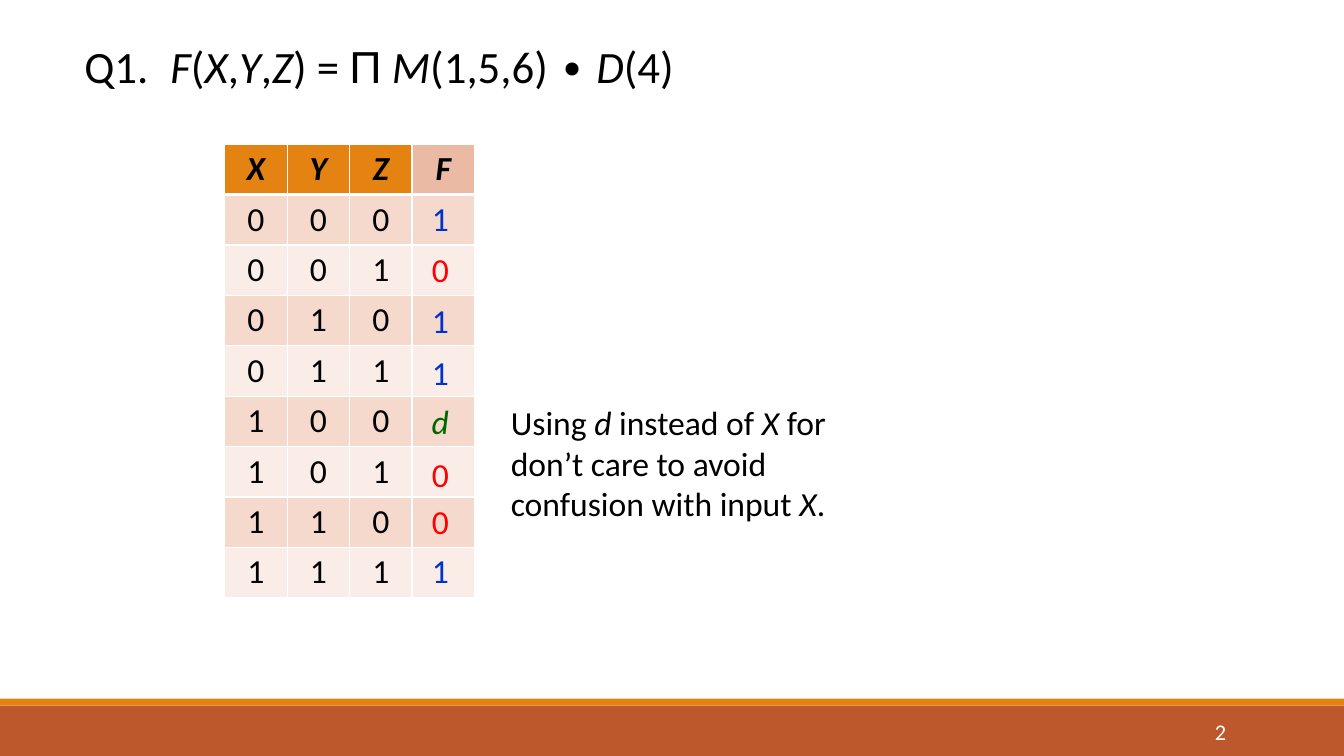
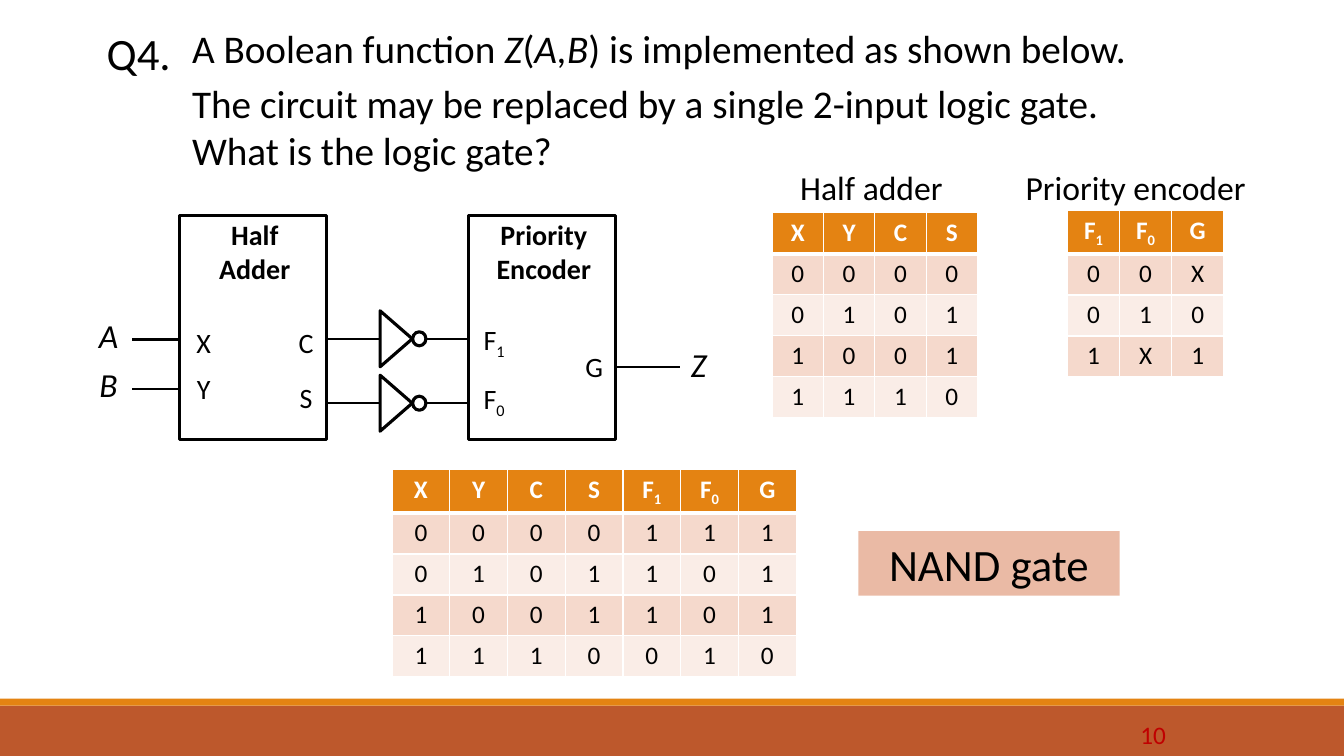
import dataclasses

import lxml.etree
import pptx
import pptx.dml.color
import pptx.enum.shapes
import pptx.enum.text
import pptx.oxml.ns
import pptx.util


@dataclasses.dataclass(frozen=True)
class Theme:
    """Colours, fonts and type sizes of the deck."""
    font: str = "Calibri"
    sign: str = "Arial"
    ink: str = "000000"
    white: str = "FFFFFF"
    rust: str = "BD582C"
    orange: str = "E48312"
    peach: str = "EABAA5"
    odd: str = "F5D9CC"
    even: str = "FAEDE7"
    red: str = "FF0000"
    green: str = "006600"
    blue: str = "0033CC"
    wine: str = "C00000"
    head: int = 32
    lead: int = 28
    text: int = 24
    port: int = 20
    small: int = 18
    note: int = 16


theme = Theme()
color = pptx.dml.color.RGBColor.from_string
qn = pptx.oxml.ns.qn
align = pptx.enum.text.PP_ALIGN
anchor = pptx.enum.text.MSO_ANCHOR
kind = pptx.enum.shapes.MSO_SHAPE


def write(frame, text, size, ink=theme.ink, side=align.LEFT, bold=False, gap=0):
    """Set text in a frame: *x* is italic, _x_ is subscript."""
    frame.word_wrap = True
    frame.auto_size = pptx.enum.text.MSO_AUTO_SIZE.NONE
    frame.text = text
    for para in frame.paragraphs:
        source = para.text
        para.clear()
        para.alignment = side
        para.space_before = pptx.util.Pt(0)
        para.space_after = pptx.util.Pt(gap)
        for i, part in enumerate(source.split("*")):
            for j, bit in enumerate(part.split("_")):
                if not bit:
                    continue
                run = para.add_run()
                run.text = bit
                run.font.name = theme.font
                run.font.size = pptx.util.Pt(size)
                run.font.color.rgb = color(ink)
                run.font.bold = bold
                run.font.italic = i % 2 == 1
                if j % 2:
                    run.font._element.set("baseline", "-25000")


def grid(slide, heads, rows, left, top, wide, tall, size, ink=theme.white):
    """Add a banded table with white rules and a heavy one under the head."""
    data = [heads, *rows]
    table = slide.shapes.add_table(
        len(data), len(heads), pptx.util.Pt(left), pptx.util.Pt(top),
        pptx.util.Pt(wide * len(heads)), pptx.util.Pt(tall * len(data))).table
    for col in table.columns:
        col.width = pptx.util.Pt(wide)
    for r, row in enumerate(data):
        table.rows[r].height = pptx.util.Pt(tall)
        fill = theme.odd if r % 2 else theme.even
        for c, text in enumerate(row):
            cell = table.cell(r, c)
            cell.margin_top = cell.margin_bottom = pptx.util.Pt(3.3)
            write(cell.text_frame, text, size, theme.ink if r else ink,
                  align.CENTER, bold=r == 0)
            cell.fill.solid()
            cell.fill.fore_color.rgb = color(fill if r else theme.orange)
            props = cell._tc.get_or_add_tcPr()
            for k, edge in enumerate(("lnL", "lnR", "lnT", "lnB")):
                thick = (r, edge) in ((0, "lnB"), (1, "lnT"))
                rule = lxml.etree.Element(qn("a:" + edge))
                rule.set("w", str(pptx.util.Pt(3 if thick else 1)))
                solid = lxml.etree.SubElement(rule, qn("a:solidFill"))
                lxml.etree.SubElement(solid, qn("a:srgbClr")).set("val", theme.white)
                props.insert(k, rule)
    return table


# Deck and its two slides
deck = pptx.Presentation()
deck.slide_width = pptx.util.Pt(960)
deck.slide_height = pptx.util.Pt(540)
layout = deck.slide_layouts[1]
first = deck.slides.add_slide(layout)
second = deck.slides.add_slide(layout)

# Master: bands at the foot, body text without bullets
master = deck.slide_master
for top, tall, fill in ((499, 5, theme.orange), (504, 36, theme.rust)):
    band = first.shapes.add_shape(kind.RECTANGLE, 0, pptx.util.Pt(top),
                                  deck.slide_width, pptx.util.Pt(tall))
    band.shadow.inherit = False
    band.fill.solid()
    band.fill.fore_color.rgb = color(fill)
    band.line.fill.background()
    master.shapes.element.insert(2, band.element)
level = next(master.element.iter(qn("p:bodyStyle")))[0]
level.set("marL", "0")
level.set("indent", "0")
level.replace(level.find(qn("a:buChar")), lxml.etree.Element(qn("a:buNone")))

# Titles and questions
heads = (
    (first.shapes.title, "Q1.", (53, 24, 61, 52), theme.head),
    (first.placeholders[1],
     "*F*(*X*,*Y*,*Z*) = **Π** *M*(1,5,6) ∙ *D*(4)",
     (114.5, 24, 457, 46), theme.head),
    (second.shapes.title, "Q4.", (69, 14.5, 71, 47), theme.head),
    (second.placeholders[1],
     "A Boolean function *Z*(*A,B*) is implemented as shown below.\n"
     "The circuit may be replaced by a single 2-input logic gate. "
     "What is the logic gate?",
     (130, 13.7, 723, 115), theme.lead),
)
for holder, text, place, size in heads:
    holder.left, holder.top, holder.width, holder.height = map(pptx.util.Pt, place)
    write(holder.text_frame, text, size, gap=6)
    holder.text_frame.vertical_anchor = anchor.TOP
for run in first.placeholders[1].text_frame.paragraphs[0].runs:
    if "Π" in run.text:
        run.font.name = theme.sign

# Page numbers
for slide, text, place, size, ink in (
        (first, "2", (780, 508.3, 103, 29), theme.note, theme.white),
        (second, "10", (786, 508.3, 54, 32), theme.small, theme.wine)):
    box = slide.shapes.add_textbox(*map(pptx.util.Pt, place))
    write(box.text_frame, text, size, ink, align.RIGHT)
    box.text_frame.vertical_anchor = anchor.MIDDLE

# Truth table of F, its last column left open for the answers
rows = [[*f"{n:03b}", ""] for n in range(8)]
table = grid(first, ["*X*", "*Y*", "*Z*", "*F*"], rows,
             160.5, 103, 44.64, 36, theme.text, theme.ink)
table.cell(0, 3).fill.fore_color.rgb = color(theme.peach)

# Answers over the open column, coloured by value
inks = {"0": theme.red, "1": theme.blue, "d": theme.green}
tops = (138, 174, 211, 247.5, 283, 321, 354, 389.5)
for out, top in zip("1011d001", tops):
    box = first.shapes.add_textbox(*map(pptx.util.Pt, (295, top, 39, 36)))
    write(box.text_frame, out, theme.text, inks[out], align.CENTER)
    box.text_frame.paragraphs[0].runs[0].font.italic = out == "d"

# Truth tables of the circuit
for names, rows, left, top, wide in (
        ("X Y C S", "0000 0101 1001 1110", 551.5, 152, 36.7),
        ("F_1_ F_0_ G", "00X 010 1X1", 762.5, 150.5, 37.2),
        ("X Y C S F_1_ F_0_ G", "0000111 0101101 1001101 1110010",
         280, 335.5, 41.25)):
    grid(second, names.split(), rows.split(), left, top, wide, 29.25, theme.small)

# Wires, running behind the blocks
lines = (242, 288)
wires = [(94.5, 130.5, 242.5), (94.5, 130.5, 278), (440, 485.5, 262)]
wires += [(234.5, 354, y) for y in lines]
for start, end, y in wires:
    wire = second.shapes.add_connector(
        pptx.enum.shapes.MSO_CONNECTOR.STRAIGHT,
        *map(pptx.util.Pt, (start, y, end, y)))
    wire.line.color.rgb = color(theme.ink)
    wire.line.width = pptx.util.Pt(1.5)
    lxml.etree.SubElement(wire.element.spPr, qn("a:effectLst"))

# Circuit blocks
for text, left in (("Half Adder", 128), ("Priority Encoder", 334.5)):
    block = second.shapes.add_shape(kind.RECTANGLE, *map(pptx.util.Pt, (left, 154, 105, 160)))
    block.shadow.inherit = False
    block.fill.solid()
    block.fill.fore_color.rgb = color(theme.white)
    block.line.color.rgb = color(theme.ink)
    block.line.width = pptx.util.Pt(2.25)
    frame = block.text_frame
    write(frame, text, theme.port, side=align.CENTER, bold=True)
    frame.vertical_anchor = anchor.TOP
    frame.margin_left = pptx.util.Pt(12)
    frame.margin_right = pptx.util.Pt(9)
    frame.margin_top = pptx.util.Pt(1.5)

# Inverters: a triangle turned right and a small ring on each line
for y in lines:
    for form, mid, wide, tall, turn in (
            (kind.FLOWCHART_EXTRACT, 283, 40, 23, 90),
            (kind.OVAL, 299.5, 9.5, 10, 0)):
        part = second.shapes.add_shape(form, *map(
            pptx.util.Pt, (mid - wide / 2, y - tall / 2, wide, tall)))
        part.rotation = turn
        part.shadow.inherit = False
        part.fill.solid()
        part.fill.fore_color.rgb = color(theme.white)
        part.line.color.rgb = color(theme.ink)
        part.line.width = pptx.util.Pt(2.25)

# Notes, captions and port labels
left, mid = align.LEFT, align.CENTER
for slide, text, place, size, side, gap in (
        (first, "Using *d* instead of *X* for don’t care to avoid "
         "confusion with input *X*.", (357.8, 283.7, 245, 94), theme.text, left, 0),
        (second, "Half adder", (564.5, 116, 121, 36), theme.text, left, 0),
        (second, "Priority encoder", (725.5, 116, 186.5, 36), theme.text, left, 0),
        (second, "X\nY", (121.5, 229, 48, 70), theme.port, mid, 9),
        (second, "C\nS", (194.7, 229, 48, 83), theme.port, mid, 15),
        (second, "F_1_\nF_0_", (323.5, 227, 59, 83), theme.port, mid, 15),
        (second, "G", (400.5, 246, 48, 46), theme.port, mid, 0),
        (second, "*A*\n*B*", (52, 221.3, 51, 88), theme.text, mid, 6),
        (second, "*Z*", (479, 242, 40, 42), theme.text, mid, 0)):
    box = slide.shapes.add_textbox(*map(pptx.util.Pt, place))
    write(box.text_frame, text, size, side=side, gap=gap)

# Answer
reply = second.shapes.add_shape(kind.RECTANGLE, *map(pptx.util.Pt, (613.2, 379.4, 186.5, 46)))
reply.shadow.inherit = False
reply.fill.solid()
reply.fill.fore_color.rgb = color(theme.peach)
reply.line.fill.background()
write(reply.text_frame, "NAND gate", theme.head, side=align.CENTER)

deck.save("out.pptx")
